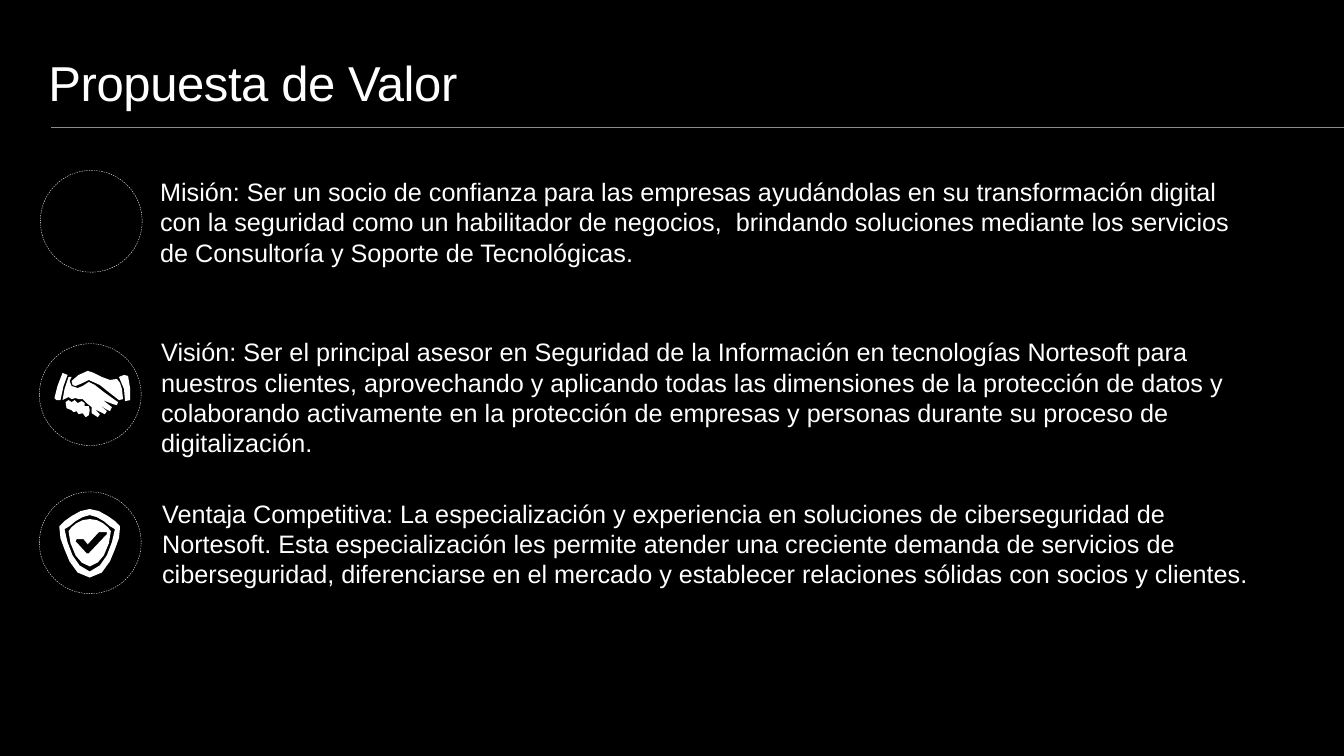
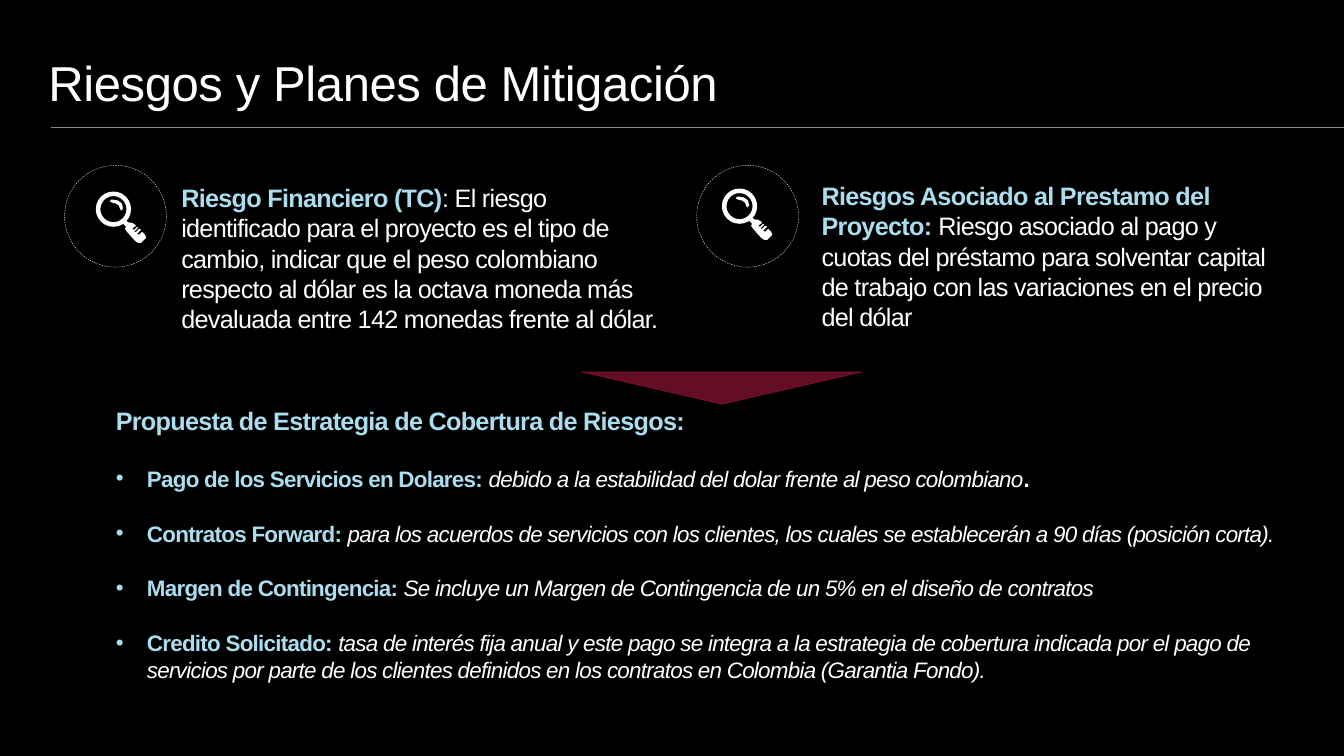
from lxml.etree import SubElement
from pptx import Presentation
from pptx.dml.color import RGBColor
from pptx.enum.dml import MSO_LINE
from pptx.enum.shapes import MSO_CONNECTOR, MSO_SHAPE
from pptx.enum.text import MSO_ANCHOR, PP_ALIGN
from pptx.oxml.ns import qn
from pptx.util import Inches, Pt

COLORS = {
    "black": "000000",
    "white": "FFFFFF",
    "rule": "8C8C8C",
    "accent": "AADDEE",
    "wine": "640D26",
    "wine_edge": "7F0D26",
}
FONT = "Arial"
TITLE_ONLY = 5
RING_SIZE = 1.01

SHIELD_HALVES = [
    [(0, 0), (0.09, 0.02), (0.18, 0.07), (0.25, 0.12), (0.3, 0.17), (0.3, 0.19),
     (0.29, 0.29), (0.25, 0.4), (0.2, 0.52), (0.12, 0.63), (0, 0.68)],
    [(0, 0.06), (0.07, 0.08), (0.14, 0.12), (0.2, 0.17), (0.25, 0.2),
     (0.22, 0.33), (0.17, 0.46), (0.1, 0.56), (0, 0.62)],
    [(0, 0.1), (0.07, 0.11), (0.13, 0.14), (0.18, 0.18), (0.21, 0.22),
     (0.19, 0.34), (0.14, 0.46), (0.08, 0.53), (0, 0.57)],
]
SHIELD_TICK = [(0.17, 0.25), (-0.01, 0.44), (-0.03, 0.44), (-0.14, 0.32), (-0.13, 0.3),
               (-0.06, 0.3), (-0.02, 0.35), (0.09, 0.23), (0.17, 0.23)]

LEFT_CUFF = [(0.13, 0.04), (0.09, 0.15), (0.06, 0.29), (0.02, 0.29), (0, 0.27),
             (0.03, 0.15), (0.08, 0.02)]
RIGHT_CUFF = [(0.73, 0.05), (0.75, 0.17), (0.75, 0.29), (0.7, 0.3), (0.69, 0.18),
              (0.64, 0.06), (0.69, 0.04)]
UPPER_HAND = [(0.68, 0.28), (0.64, 0.29), (0.55, 0.22), (0.45, 0.14), (0.34, 0.09),
              (0.28, 0.12), (0.21, 0.15), (0.18, 0.14), (0.17, 0.1), (0.24, 0.04),
              (0.33, 0), (0.39, 0.02), (0.47, 0.06), (0.55, 0.09), (0.62, 0.08),
              (0.65, 0.12), (0.67, 0.18)]
LOWER_HAND = [(0.17, 0.06), (0.15, 0.1), (0.17, 0.15), (0.23, 0.17), (0.28, 0.15),
              (0.34, 0.11), (0.4, 0.14), (0.49, 0.21), (0.63, 0.31), (0.62, 0.34),
              (0.58, 0.33), (0.48, 0.29), (0.57, 0.36), (0.55, 0.4), (0.51, 0.38),
              (0.43, 0.32), (0.52, 0.4), (0.5, 0.43), (0.46, 0.41), (0.4, 0.38),
              (0.45, 0.43), (0.43, 0.46), (0.37, 0.42), (0.37, 0.36), (0.32, 0.32),
              (0.28, 0.28), (0.24, 0.28), (0.21, 0.27), (0.17, 0.28), (0.14, 0.26),
              (0.08, 0.29), (0.1, 0.18), (0.14, 0.06)]
FINGERS = [(0.17, 0.31), (0.2, 0.29), (0.23, 0.32), (0.27, 0.3), (0.3, 0.32),
           (0.3, 0.35), (0.34, 0.35), (0.35, 0.39), (0.34, 0.44), (0.31, 0.46),
           (0.28, 0.42), (0.24, 0.43), (0.22, 0.4), (0.19, 0.41), (0.17, 0.39),
           (0.12, 0.37), (0.11, 0.31), (0.14, 0.29)]
HANDSHAKE = [LEFT_CUFF, RIGHT_CUFF, UPPER_HAND, LOWER_HAND, FINGERS]

LENS_HANDLE = [(0.27, 0.32), (0.3, 0.35), (0.29, 0.37), (0.31, 0.4), (0.39, 0.49),
               (0.42, 0.51), (0.45, 0.51), (0.47, 0.49), (0.5, 0.46), (0.49, 0.43),
               (0.47, 0.41), (0.46, 0.4), (0.43, 0.43), (0.41, 0.42), (0.45, 0.38),
               (0.43, 0.37), (0.4, 0.4), (0.38, 0.4), (0.42, 0.36), (0.41, 0.35),
               (0.38, 0.38), (0.36, 0.37), (0.4, 0.34), (0.39, 0.33), (0.36, 0.31),
               (0.33, 0.31), (0.3, 0.29)]
LENS_GLINT = [(0.17, 0.08), (0.15, 0.08), (0.14, 0.1), (0.16, 0.11), (0.2, 0.12),
              (0.23, 0.14), (0.24, 0.17), (0.25, 0.19), (0.27, 0.17), (0.26, 0.12),
              (0.22, 0.09)]

STATEMENTS = [
    (1.49, 1.7, 11.01, 1.01,
     "Misión: Ser un socio de confianza para las empresas ayudándolas en su transformación "
     "digital con la seguridad como un habilitador de negocios,  brindando soluciones mediante "
     "los servicios de Consultoría y Soporte de Tecnológicas."),
    (1.5, 3.29, 11.19, 1.31,
     "Visión: Ser el principal asesor en Seguridad de la Información en tecnologías Nortesoft "
     "para nuestros clientes, aprovechando y aplicando todas las dimensiones de la protección "
     "de datos y colaborando activamente en la protección de empresas y personas durante su "
     "proceso de digitalización."),
    (1.51, 4.89, 10.99, 1.01,
     "Ventaja Competitiva: La especialización y experiencia en soluciones de ciberseguridad de "
     "Nortesoft. Esta especialización les permite atender una creciente demanda de servicios de "
     "ciberseguridad, diferenciarse en el mercado y establecer relaciones sólidas con socios y "
     "clientes."),
]
RISKS = [
    (1.7, 1.76, 4.96, "Riesgo Financiero (TC)",
     ": El riesgo identificado para el proyecto es el tipo de cambio, indicar que el peso "
     "colombiano respecto al dólar es la octava moneda más devaluada entre 142 monedas frente "
     "al dólar."),
    (8.05, 1.74, 4.75, "Riesgos Asociado al Prestamo del Proyecto: ",
     "Riesgo asociado al pago y cuotas del préstamo para solventar capital de trabajo con las "
     "variaciones en el precio del dólar"),
]
STRATEGY_TITLE = "Propuesta de Estrategia de Cobertura de Riesgos:"
STRATEGIES = [
    ("Pago de los Servicios en Dolares: ",
     "debido a la estabilidad del dolar frente al peso colombiano", "."),
    ("Contratos Forward: ",
     "para los acuerdos de servicios con los clientes, los cuales se establecerán a 90 días "
     "(posición corta).", ""),
    ("Margen de Contingencia: ",
     "Se incluye un Margen de Contingencia de un 5% en el diseño de contratos", ""),
    ("Credito Solicitado: ",
     "tasa de interés fija anual y este pago se integra a la estrategia de cobertura indicada "
     "por el pago de servicios por parte de los clientes definidos en los contratos en Colombia "
     "(Garantia Fondo).", ""),
]


class Board:
    """Hold the deck, its style and the slide being drawn."""

    def __init__(self):
        self.deck = Presentation()
        self.deck.slide_width = Inches(13.33)
        self.deck.slide_height = Inches(7.5)
        self.paint(self.deck.slide_master.background.fill, "black")
        self.page = None

    def paint(self, fill, color):
        fill.solid()
        fill.fore_color.rgb = RGBColor.from_string(COLORS[color])

    def style(self, span, size, color="white", bold=False, italic=False, spacing=0):
        font = span.font
        font.name, font.size, font.bold, font.italic = FONT, Pt(size), bold, italic
        font.color.rgb = RGBColor.from_string(COLORS[color])
        if spacing:
            span._r.get_or_add_rPr().set("spc", str(round(spacing * 100)))

    def add_page(self, title):
        self.page = self.deck.slides.add_slide(self.deck.slide_layouts[TITLE_ONLY])
        box = self.page.shapes.title
        box.left, box.top = Inches(0.38), Inches(0.47)
        box.width, box.height = Inches(12.25), Inches(0.69)
        box.text_frame.text = title
        box.text_frame.vertical_anchor = MSO_ANCHOR.TOP
        para = box.text_frame.paragraphs[0]
        para.alignment = PP_ALIGN.LEFT
        self.style(para.runs[0], 35, spacing=-0.3)
        rule = self.page.shapes.add_connector(
            MSO_CONNECTOR.STRAIGHT, Inches(0.51), Inches(1.27), Inches(13.33), Inches(1.27))
        rule.line.color.rgb = RGBColor.from_string(COLORS["rule"])
        rule.line.width = Pt(0.75)
        SubElement(rule._element.spPr, qn("a:effectLst"))

    def add_box(self, left, top, width, height):
        box = self.page.shapes.add_textbox(
            Inches(left), Inches(top), Inches(width), Inches(height))
        box.text_frame.word_wrap = True
        return box.text_frame

    def add_span(self, para, text, size, **look):
        span = para.add_run()
        span.text = text
        self.style(span, size, **look)

    def add_bullet(self, para):
        properties = para._p.get_or_add_pPr()
        properties.set("marL", str(Inches(0.31)))
        properties.set("indent", str(-Inches(0.31)))
        SubElement(properties, qn("a:buFont"), typeface=FONT)
        SubElement(properties, qn("a:buChar"), char="•")

    def add_shape(self, kind, left, top, width, height, fill=None):
        shape = self.page.shapes.add_shape(
            kind, Inches(left), Inches(top), Inches(width), Inches(height))
        shape.shadow.inherit = False
        shape.line.fill.background()
        if fill:
            self.paint(shape.fill, fill)
        else:
            shape.fill.background()
        return shape

    def add_ring(self, left, top):
        ring = self.add_shape(MSO_SHAPE.OVAL, left, top, RING_SIZE, RING_SIZE)
        ring.line.color.rgb = RGBColor.from_string(COLORS["white"])
        ring.line.width = Pt(0.25)
        ring.line.dash_style = MSO_LINE.DASH

    def add_outline(self, left, top, contours):
        placed = [[(Inches(left + x), Inches(top + y)) for x, y in contour]
                  for contour in contours]
        builder = self.page.shapes.build_freeform(*placed[0][0])
        for index, contour in enumerate(placed):
            if index:
                builder.move_to(*contour[0])
            builder.add_line_segments(contour[1:], close=True)
        shape = builder.convert_to_shape()
        shape.shadow.inherit = False
        self.paint(shape.fill, "white")
        shape.line.fill.background()

    def add_shield(self, center, top):
        contours = [half + [(-x, y) for x, y in half[-2:0:-1]] for half in SHIELD_HALVES]
        self.add_outline(center, top, contours + [SHIELD_TICK])

    def add_magnifier(self, left, top):
        lens = self.add_shape(MSO_SHAPE.DONUT, left, top, 0.35, 0.35, "white")
        lens.adjustments[0] = 0.13
        self.add_outline(left, top, [LENS_HANDLE, LENS_GLINT])


def draw_value(board):
    board.add_page("Propuesta de Valor")
    for left, top, width, height, text in STATEMENTS:
        para = board.add_box(left, top, width, height).paragraphs[0]
        board.add_span(para, text, 18)
    for left, top in [(0.4, 1.69), (0.39, 3.41), (0.39, 4.88)]:
        board.add_ring(left, top)
    board.add_outline(0.54, 3.68, HANDSHAKE)
    board.add_shield(0.89, 5.05)


def draw_risks(board):
    board.add_page("Riesgos y Planes de Mitigación")
    for left in (0.64, 6.91):
        board.add_ring(left, 1.64)
    for left, top, width, label, text in RISKS:
        para = board.add_box(left, top, width, 1.62).paragraphs[0]
        board.add_span(para, label, 18, color="accent", bold=True, spacing=-0.5)
        board.add_span(para, text, 18, spacing=-0.5)
    frame = board.add_box(1.05, 3.97, 11.93, 3.06)
    board.add_span(frame.paragraphs[0], STRATEGY_TITLE, 18,
                   color="accent", bold=True, spacing=-0.5)
    for index, (label, text, ending) in enumerate(STRATEGIES):
        para = frame.add_paragraph()
        para.space_before = Pt(20 if index else 21)
        board.add_bullet(para)
        board.add_span(para, label, 16, color="accent", bold=True, spacing=-0.5)
        board.add_span(para, text, 16, italic=True, spacing=-0.5)
        if ending:
            board.add_span(para, ending, 16, bold=True, spacing=-0.5)
    board.add_magnifier(7.16, 1.87)
    board.add_magnifier(0.95, 1.9)
    pointer = board.add_shape(MSO_SHAPE.ISOSCELES_TRIANGLE, 5.77, 3.69, 2.78, 0.32, "wine")
    pointer.rotation = 180
    pointer.line.color.rgb = RGBColor.from_string(COLORS["wine_edge"])
    pointer.line.width = Pt(0.5)


def main():
    board = Board()
    draw_value(board)
    draw_risks(board)
    board.deck.save("out.pptx")


if __name__ == "__main__":
    main()
